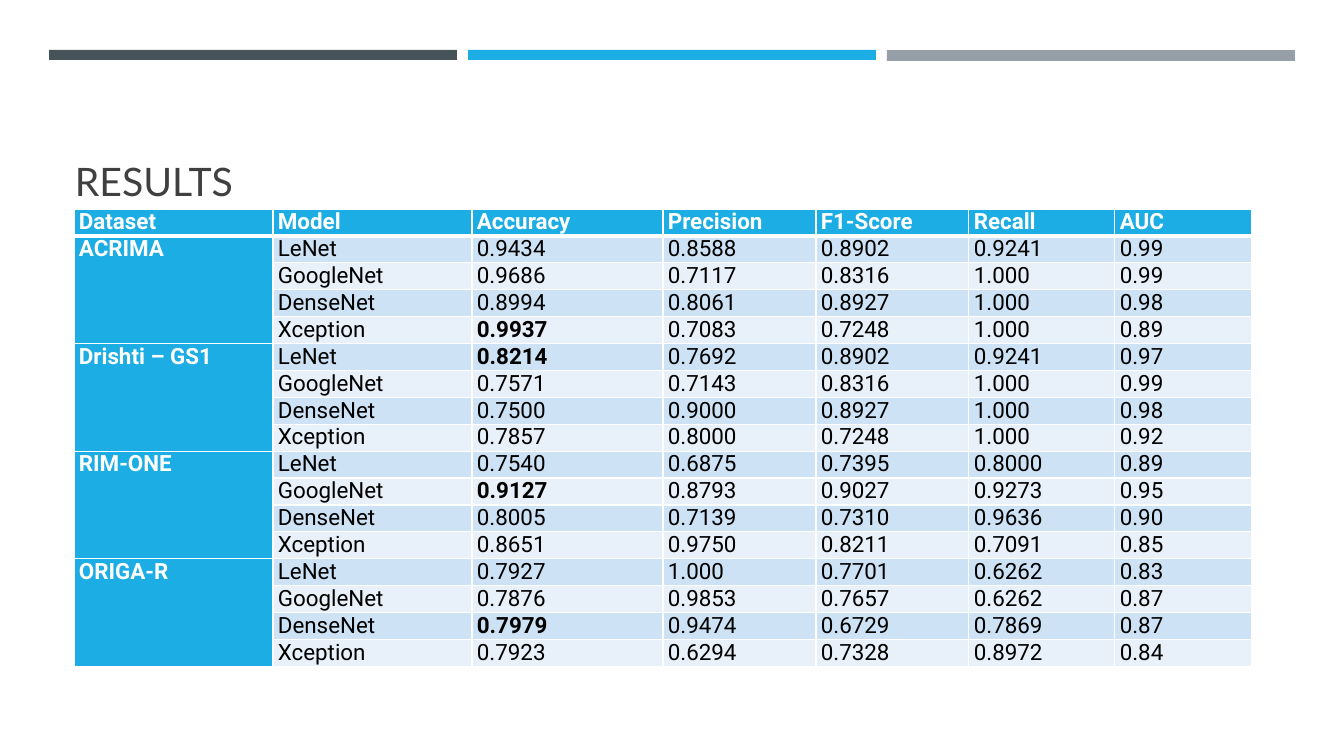
from lxml import etree
from pptx import Presentation
from pptx import util as u
from pptx.dml.color import RGBColor
from pptx.enum import shapes, text
from pptx.oxml.ns import qn

SCALE = 914400 / 100.8  # EMU per pixel
COLORS = {
    "slate": "465359", "blue": "1CADE4", "grey": "969FA7", "title": "404040",
    "white": "FFFFFF", "black": "000000", "band_dark": "CDE3F5", "band_light": "E8F1FA",
}
HEADERS = ["Dataset", "Model", "Accuracy", "Precision", "F1-Score", "Recall", "AUC"]
COLUMN_WIDTHS = [199, 199, 191, 153, 153, 146, 137]
MODELS = ["LeNet", "GoogleNet", "DenseNet", "Xception"]
# One line of scores per model, in the order of MODELS
RESULTS = {
    "ACRIMA": [
        "0.9434 0.8588 0.8902 0.9241 0.99",
        "0.9686 0.7117 0.8316 1.000 0.99",
        "0.8994 0.8061 0.8927 1.000 0.98",
        "0.9937 0.7083 0.7248 1.000 0.89",
    ],
    "Drishti – GS1": [
        "0.8214 0.7692 0.8902 0.9241 0.97",
        "0.7571 0.7143 0.8316 1.000 0.99",
        "0.7500 0.9000 0.8927 1.000 0.98",
        "0.7857 0.8000 0.7248 1.000 0.92",
    ],
    "RIM-ONE": [
        "0.7540 0.6875 0.7395 0.8000 0.89",
        "0.9127 0.8793 0.9027 0.9273 0.95",
        "0.8005 0.7139 0.7310 0.9636 0.90",
        "0.8651 0.9750 0.8211 0.7091 0.85",
    ],
    "ORIGA-R": [
        "0.7927 1.000 0.7701 0.6262 0.83",
        "0.7876 0.9853 0.7657 0.6262 0.87",
        "0.7979 0.9474 0.6729 0.7869 0.87",
        "0.7923 0.6294 0.7328 0.8972 0.84",
    ],
}


def px(pixels):
    return u.Emu(round(pixels * SCALE))


def rgb(color):
    return RGBColor.from_string(COLORS[color])


def write(frame, words, size=16, font="Roboto", color="black", bold=False):
    span = frame.paragraphs[0].add_run()
    span.text = words
    span.font.size = u.Pt(size)
    span.font.name = font
    span.font.bold = bold
    span.font.color.rgb = rgb(color)


def add_bar(page, left, top, width, height, color):
    bar = page.shapes.add_shape(
        shapes.MSO_SHAPE.RECTANGLE, px(left), px(top), px(width), px(height))
    bar.shadow.inherit = False
    bar.fill.solid()
    bar.fill.fore_color.rgb = rgb(color)
    bar.line.fill.background()


def add_title(page, words):
    box = page.shapes.add_textbox(px(65), px(78), px(1216), px(131))
    box.text_frame.word_wrap = True
    box.text_frame.vertical_anchor = text.MSO_ANCHOR.BOTTOM
    write(box.text_frame, words, size=28, font="Lato", color="title")


def set_borders(cell, bottom=1):
    """Draw white borders; they must precede the fill in the cell properties."""
    properties = cell._tc.get_or_add_tcPr()
    widths = {"a:lnL": 1, "a:lnR": 1, "a:lnT": 1, "a:lnB": bottom}
    for position, (side, width) in enumerate(widths.items()):
        line = etree.Element(qn(side), w=str(u.Pt(width)))
        fill = etree.SubElement(line, qn("a:solidFill"))
        etree.SubElement(fill, qn("a:srgbClr"), val=COLORS["white"])
        properties.insert(position, line)


def fill_cell(cell, words, fill, bottom=1, **style):
    cell.margin_left = cell.margin_right = px(5)
    cell.margin_top = cell.margin_bottom = 0
    cell.fill.solid()
    cell.fill.fore_color.rgb = rgb(fill)
    set_borders(cell, bottom)
    write(cell.text_frame, words, **style)


def add_results_table(page):
    row_count = 1 + len(RESULTS) * len(MODELS)
    height = 449
    table = page.shapes.add_table(
        row_count, len(HEADERS), px(74), px(209), px(sum(COLUMN_WIDTHS)), px(height)).table
    for column, width in zip(table.columns, COLUMN_WIDTHS):
        column.width = px(width)
    for row in table.rows:
        row.height = px(height / row_count)

    # Header row
    heading = {"fill": "blue", "color": "white", "bold": True}
    for column, name in enumerate(HEADERS):
        fill_cell(table.cell(0, column), name, bottom=3, **heading)

    # One block of rows per dataset, with its best accuracy in bold
    for block, (dataset, lines) in enumerate(RESULTS.items()):
        first = 1 + block * len(MODELS)
        dataset_cell = table.cell(first, 0)
        dataset_cell.merge(table.cell(first + len(MODELS) - 1, 0))
        fill_cell(dataset_cell, dataset, **heading)
        scores = [line.split() for line in lines]
        best = max(values[0] for values in scores)
        for offset, (model, values) in enumerate(zip(MODELS, scores)):
            band = "band_light" if offset % 2 else "band_dark"
            for column, words in enumerate([model, *values], start=1):
                fill_cell(table.cell(first + offset, column), words, band,
                          bold=column == 2 and words == best)


def main():
    deck = Presentation()
    deck.slide_width, deck.slide_height = px(1344), px(756)
    page = deck.slides.add_slide(deck.slide_layouts[6])

    # Bars across the top
    for index, (color, height) in enumerate([("slate", 10), ("blue", 10), ("grey", 11)]):
        add_bar(page, 49 + index * 419, 50, 408, height, color)

    add_title(page, "RESULTS")
    add_results_table(page)
    deck.save("out.pptx")


main()
